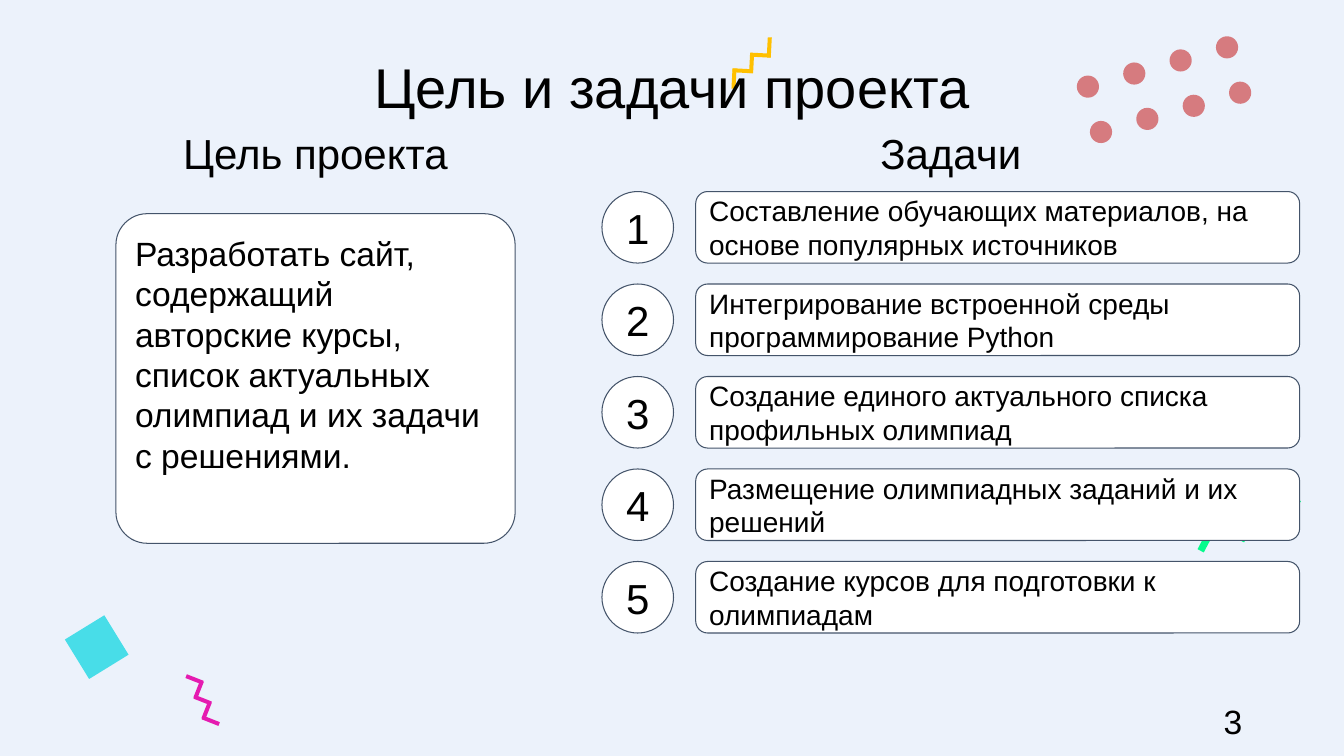
from lxml import etree
from pptx import Presentation
from pptx import util as u
from pptx.dml.color import RGBColor
from pptx.enum import shapes, text
from pptx.oxml.ns import qn

COLORS = {"background": "ECF2FB", "ink": "000000", "card": "FFFFFF", "border": "44546A",
          "yellow": "FFC000", "cyan": "48DDE8", "pink": "E51BB0", "green": "06FA8C",
          "dot": "C00000"}
LEFT, CENTER, RIGHT = text.PP_ALIGN.LEFT, text.PP_ALIGN.CENTER, text.PP_ALIGN.RIGHT
TOP, MIDDLE = text.MSO_ANCHOR.TOP, text.MSO_ANCHOR.MIDDLE
RECT, OVAL, ROUNDED = (shapes.MSO_SHAPE.RECTANGLE, shapes.MSO_SHAPE.OVAL,
                       shapes.MSO_SHAPE.ROUNDED_RECTANGLE)

prs = Presentation()
prs.slide_width, prs.slide_height = u.Inches(13.33), u.Inches(7.5)
slide = prs.slides.add_slide(prs.slide_layouts[5])
slide.background.fill.solid()
slide.background.fill.fore_color.rgb = RGBColor.from_string(COLORS["background"])


def add_figure(kind, box, color, rotation=0, border=None):
    figure = slide.shapes.add_shape(kind, *map(u.Inches, box))
    figure.shadow.inherit = False
    figure.rotation = rotation
    figure.fill.solid()
    figure.fill.fore_color.rgb = RGBColor.from_string(color)
    if border:
        figure.line.color.rgb = RGBColor.from_string(border)
        figure.line.width = u.Pt(0.75)
    else:
        figure.line.fill.background()
    return figure


def write(holder, words, size, align=LEFT, anchor=TOP, inset=0.05):
    """Put one Arial paragraph into a shape; inset is the top and bottom margin."""
    frame = holder.text_frame
    frame.text = words
    frame.word_wrap = True
    frame.auto_size = text.MSO_AUTO_SIZE.NONE
    frame.vertical_anchor = anchor
    frame.margin_left = frame.margin_right = u.Inches(0.1)
    frame.margin_top = frame.margin_bottom = u.Inches(inset)
    paragraph = frame.paragraphs[0]
    paragraph.alignment = align
    font = paragraph.runs[0].font
    font.name, font.size = "Arial", u.Pt(size)
    font.color.rgb = RGBColor.from_string(COLORS["ink"])
    return paragraph


# Zigzags: colour, centre of first bar, step, bar size, alternating angles, bars
zigzags = [
    ("yellow", (7.28, 0.78), (0.0875, -0.0775), (0.2, 0.04), (272.9, 2.9), range(5)),
    ("pink", (2.09, 7.15), (-0.04, -0.1025), (0.18, 0.04), (201.5, 291.5), range(5)),
    ("green", (11.99, 5.31), (0.2, -0.05), (0.35, 0.07), (297.8, 27.8), (0, 1, 2, 4)),
]
for color, (x, y), (dx, dy), (length, thickness), angles, bars in zigzags:
    for bar in bars:
        box = (x + bar * dx - length / 2, y + bar * dy - thickness / 2, length, thickness)
        add_figure(RECT, box, COLORS[color], angles[bar % 2])

add_figure(RECT, (0.73, 6.19, 0.46, 0.46), COLORS["cyan"], 328.4)

# Tilted grid of translucent dots
for row in range(2):
    for col in range(4):
        box = (10.68 + 0.46 * col + 0.13 * row, 0.75 - 0.13 * col + 0.45 * row, 0.22, 0.22)
        dot = add_figure(OVAL, box, COLORS["dot"], 343.9)
        tint = dot.fill._xPr.find(qn("a:solidFill"))[0]
        etree.SubElement(tint, qn("a:alpha")).set("val", "49000")

# The title lies above the decoration
title = slide.shapes.title
title.left, title.top, title.width, title.height = map(u.Inches, (3.14, 0.54, 7.05, 0.71))
write(title, "Цель и задачи проекта", 40, CENTER, text.MSO_ANCHOR.BOTTOM).line_spacing = 0.9
slide.shapes._spTree.append(title._element)

labels = [
    ("Цель проекта", (1.45, 1.22, 3.36, 0.47), 30, CENTER, TOP),
    ("Задачи", (8.47, 1.22, 1.92, 0.47), 30, CENTER, TOP),
    ("3", (9.42, 6.95, 3, 0.4), 24, RIGHT, MIDDLE),
]
for words, box, size, align, anchor in labels:
    label = slide.shapes.add_textbox(*map(u.Inches, box))
    write(label, words, size, align, anchor)

goal = add_figure(ROUNDED, (1.15, 2.12, 3.96, 3.27), COLORS["card"], border=COLORS["border"])
goal.adjustments[0] = 0.095
write(goal, "Разработать сайт, содержащий авторские курсы, список актуальных "
      "олимпиад и их задачи с решениями.", 24, inset=0.1).space_before = u.Pt(10)

tasks = [
    "Составление обучающих материалов, на основе популярных источников",
    "Интегрирование встроенной среды программирование Python",
    "Создание единого актуального списка профильных олимпиад",
    "Размещение олимпиадных заданий и их решений",
    "Создание курсов для подготовки к олимпиадам",
]
for index, task in enumerate(tasks):
    top = 1.9 + 0.9175 * index
    number = add_figure(OVAL, (5.97, top, 0.71, 0.71), COLORS["card"], border=COLORS["border"])
    write(number, str(index + 1), 30, CENTER, MIDDLE, 0.1)
    card = add_figure(ROUNDED, (6.9, top, 5.99, 0.71), COLORS["card"], border=COLORS["border"])
    card.adjustments[0] = 0.167
    write(card, task, 20, LEFT, MIDDLE, 0.1)

prs.save("out.pptx")
